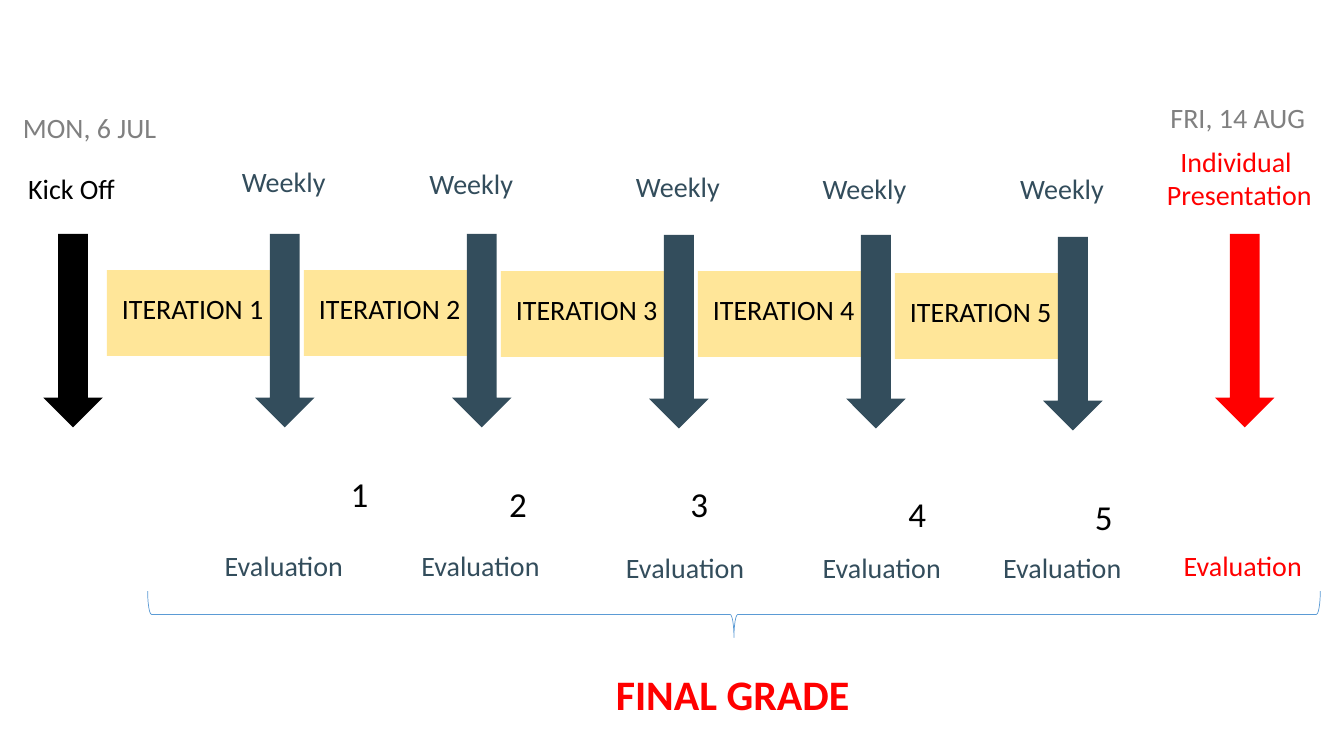
"""Build the project timeline slide: iterations, weekly evaluations and final grade."""
import pptx
import pptx.util
import pptx.dml.color
import pptx.enum.shapes
import pptx.enum.text

Inches = pptx.util.Inches
RGBColor = pptx.dml.color.RGBColor
SHAPE = pptx.enum.shapes.MSO_SHAPE
CENTER = pptx.enum.text.PP_ALIGN.CENTER

BLACK = RGBColor(0x00, 0x00, 0x00)
GRAY = RGBColor(0x80, 0x80, 0x80)
RED = RGBColor(0xFF, 0x00, 0x00)
SLATE = RGBColor(0x33, 0x4D, 0x5C)
SAND = RGBColor(0xFF, 0xE6, 0x99)
BLUE = RGBColor(0x5B, 0x9B, 0xD5)

FIRST_LEFT, STEP = 1.06, 1.954
ARROW_TOP = 2.32
ITERATIONS = [
    {"drop": 0, "weekly": (2.3, 1.58), "number": (3.38, 4.64), "evaluation": (2.13, 5.39)},
    {"drop": 0, "weekly": (4.16, 1.6), "number": (4.95, 4.74), "evaluation": (4.08, 5.39)},
    {"drop": 0.01, "weekly": (6.21, 1.63), "number": (6.75, 4.74), "evaluation": (6.11, 5.41)},
    {"drop": 0.01, "weekly": (8.06, 1.65), "number": (8.91, 4.84), "evaluation": (8.06, 5.41)},
    {"drop": 0.03, "weekly": (10.02, 1.65), "number": (10.76, 4.87), "evaluation": (9.85, 5.41)},
]
END_ARROWS = [(0.43, BLACK), (12.05, RED)]
LABELS = [
    ("MON, 6 JUL", 0.13, 1.05, 1.53, GRAY),
    ("Kick Off", 0.18, 1.65, 1.08, BLACK),
    ("FRI, 14 AUG", 11.51, 0.95, 1.55, GRAY),
    ("Evaluation", 11.64, 5.39, 1.39, RED),
]
PRESENTATION = "Individual\n Presentation"


def add_block(s, kind, left, top, width, height, color):
    """Add a filled shape without outline."""
    sp = s.shapes.add_shape(kind, Inches(left), Inches(top), Inches(width), Inches(height))
    sp.shadow.inherit = False
    sp.fill.solid()
    sp.fill.fore_color.rgb = color
    sp.line.fill.background()


def add_arrow(s, left, top, color):
    """Add a downward milestone arrow."""
    add_block(s, SHAPE.DOWN_ARROW, left, top, 0.59, 1.92, color)


def add_label(s, text, left, top, width, color, size=20, height=0.44, bold=False, align=None):
    """Add an unwrapped text box with one paragraph per line."""
    sp = s.shapes.add_textbox(Inches(left), Inches(top), Inches(width), Inches(height))
    tf = sp.text_frame
    tf.word_wrap = False
    tf.auto_size = pptx.enum.text.MSO_AUTO_SIZE.SHAPE_TO_FIT_TEXT
    tf.text = text
    for p in tf.paragraphs:
        p.alignment = align
        for r in p.runs:
            for name, value in {"name": "Calibri", "size": pptx.util.Pt(size), "bold": bold}.items():
                setattr(r.font, name, value)
            r.font.color.rgb = color


def add_brace(s):
    """Add the brace that gathers the evaluations into the grade."""
    sp = s.shapes.add_shape(SHAPE.LEFT_BRACE, Inches(7.05), Inches(0.28), Inches(0.46), Inches(11.63))
    sp.rotation = 270
    sp.shadow.inherit = False
    sp.fill.background()
    sp.line.color.rgb = BLUE
    sp.line.width = pptx.util.Pt(0.5)


def main():
    """Lay out the timeline and save the deck."""
    prs = pptx.Presentation()
    prs.slide_width, prs.slide_height = Inches(13.33), Inches(7.5)
    s = prs.slides.add_slide(prs.slide_layouts[6])
    for i, item in enumerate(ITERATIONS):
        left, top = FIRST_LEFT + i * STEP, ARROW_TOP + item["drop"]
        add_block(s, SHAPE.RECTANGLE, left, top + 0.36, 1.67, 0.85, SAND)
        add_label(s, f"ITERATION {i + 1}", left + 0.05, top + 0.52, 1.62, BLACK)
        add_arrow(s, left + 1.47, top, SLATE)
        add_label(s, "Weekly", *item["weekly"], 1.04, SLATE)
        add_label(s, str(i + 1), *item["number"], 0.38, BLACK, size=25, height=0.52)
        add_label(s, "Evaluation", *item["evaluation"], 1.39, SLATE)
    for left, color in END_ARROWS:
        add_arrow(s, left, ARROW_TOP, color)
    for label in LABELS:
        add_label(s, *label)
    add_label(s, PRESENTATION, 11.4, 1.38, 1.72, RED, height=0.77, align=CENTER)
    add_brace(s)
    add_label(s, "FINAL GRADE", 6.01, 6.58, 2.54, RED, size=30, height=0.61, bold=True)
    prs.save("out.pptx")


if __name__ == "__main__":
    main()
